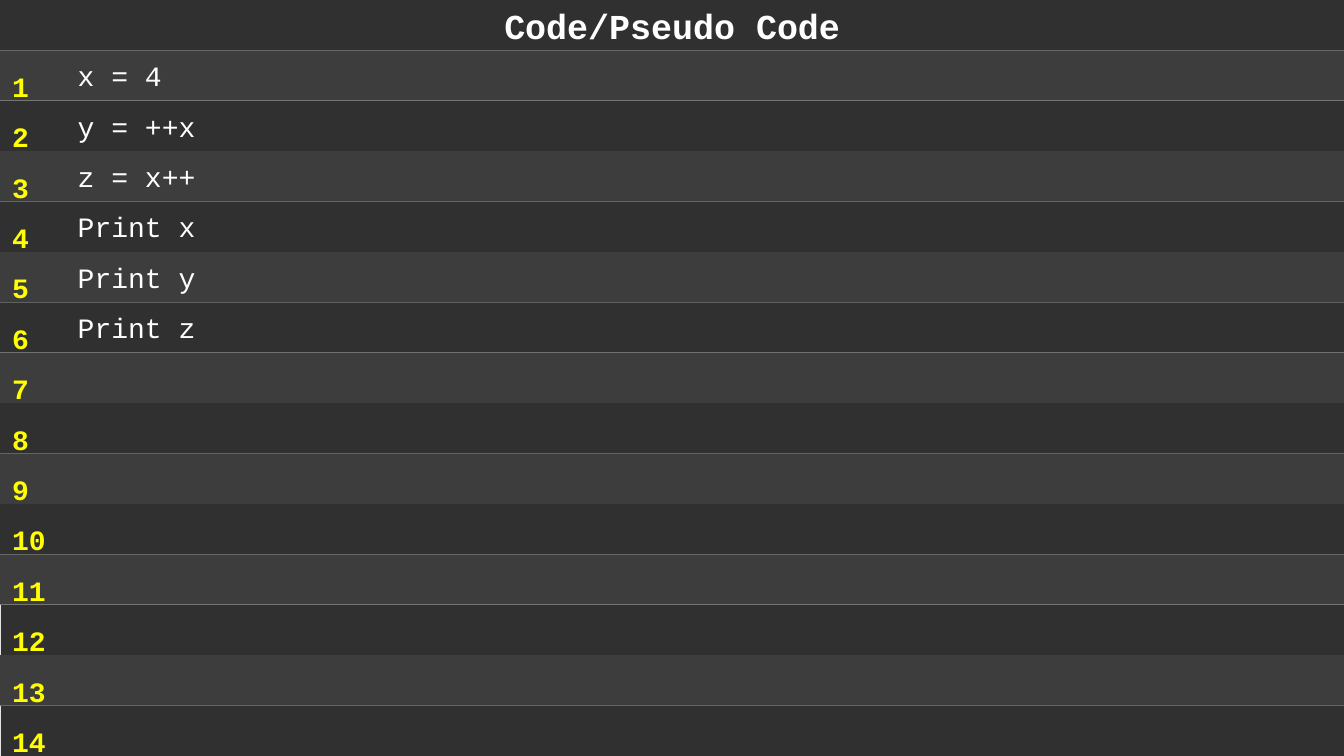
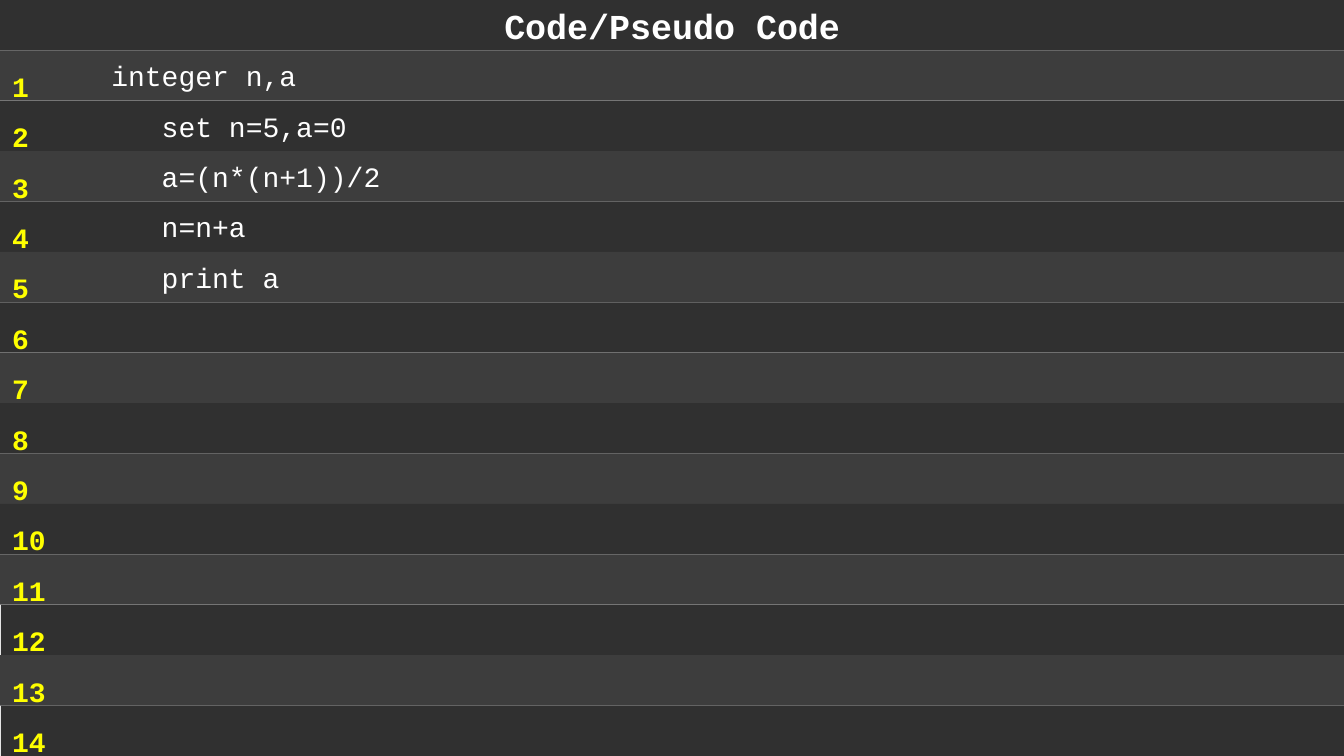
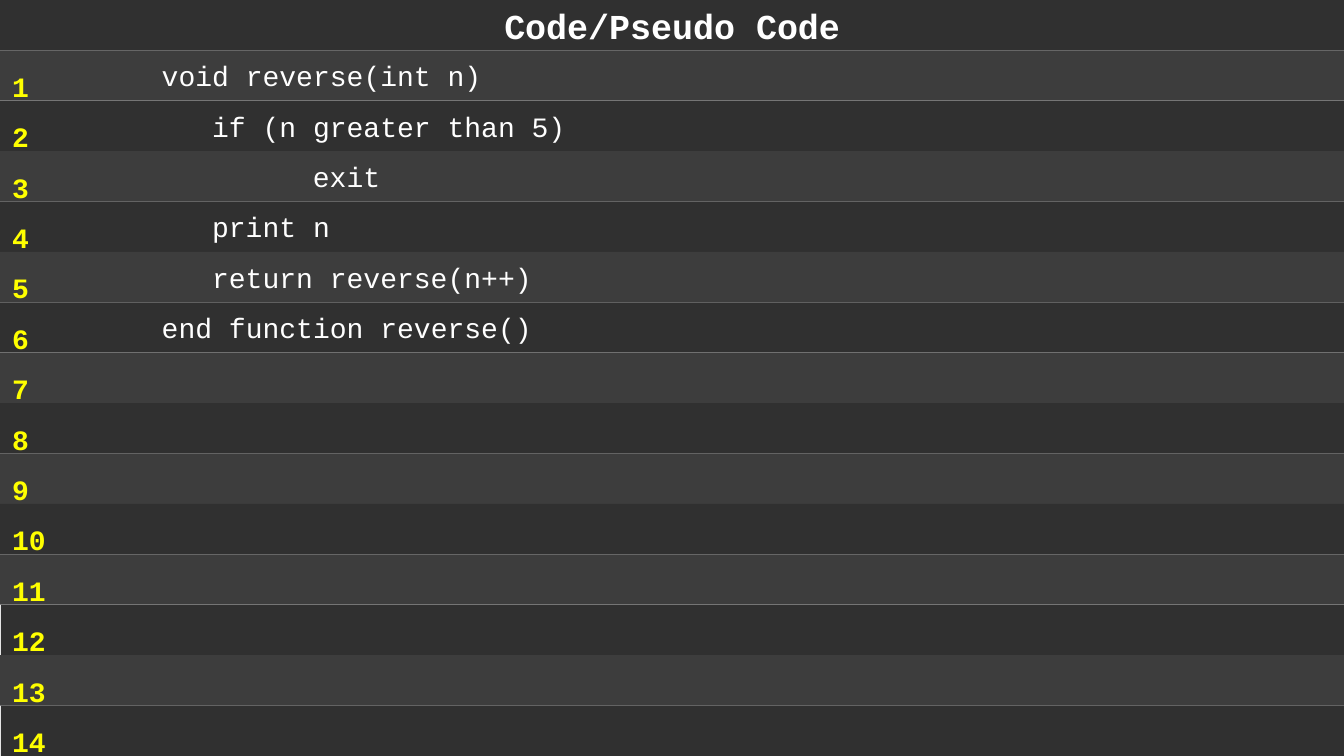
import pptx
import pptx.dml.color
import pptx.enum.shapes
import pptx.enum.text
import pptx.util

EMU_PER_PX = 9525
SLIDE_WIDTH, SLIDE_HEIGHT = 1280, 720
ROW_HEIGHT = 48
LINE_COUNT = 14
COLORS = {"dark": "303030", "light": "3D3D3D", "code": "FFFFFF", "number": "FFFF00"}
FONT = "Courier New"
ROW_LEFTS = {12: 1, 14: 1}
TITLE_FORMAT = {"size": pptx.util.Pt(25), "bold": True}
CODE_FORMAT = {"size": pptx.util.Pt(20), "bold": False}
NUMBER_FORMAT = {"size": pptx.util.Pt(20), "bold": True}

LISTINGS = [
    [
        (74, "x = 4"),
        (74, "y = ++x"),
        (74, "z = x++"),
        (74, "Print x"),
        (74, "Print y"),
        (74, "Print z"),
    ],
    [
        (106, "integer n,a"),
        (154, "set n=5,a=0"),
        (154, "a=(n*(n+1))/2"),
        (154, "n=n+a"),
        (154, "print a"),
    ],
    [
        (154, "void reverse(int n)"),
        (202, "if (n greater than 5)"),
        (298, "exit"),
        (202, "print n"),
        (202, "return reverse(n++)"),
        (154, "end function reverse()"),
    ],
]


def px(length):
    return pptx.util.Emu(length * EMU_PER_PX)


def color(name):
    return pptx.dml.color.RGBColor.from_string(COLORS[name])


class CodeDeck:
    def __init__(self):
        self.presentation = pptx.Presentation()
        self.presentation.slide_width = px(SLIDE_WIDTH)
        self.presentation.slide_height = px(SLIDE_HEIGHT)
        self.slide = None

    def add_slide(self):
        self.slide = self.presentation.slides.add_slide(self.presentation.slide_layouts[6])

    def add_text(self, paragraph, text, color_name, font_format):
        run = paragraph.add_run()
        run.text = text
        run.font.name = FONT
        run.font.color.rgb = color(color_name)
        for name, value in font_format.items():
            setattr(run.font, name, value)

    def band(self, row):
        left = ROW_LEFTS.get(row, 0)
        shape = self.slide.shapes.add_shape(
            pptx.enum.shapes.MSO_SHAPE.RECTANGLE,
            px(left), px(row * ROW_HEIGHT), px(SLIDE_WIDTH - left), px(ROW_HEIGHT),
        )
        shape.shadow.inherit = False
        shape.fill.solid()
        shape.fill.fore_color.rgb = color("light" if row % 2 else "dark")
        shape.line.fill.background()
        shape.text_frame.vertical_anchor = pptx.enum.text.MSO_ANCHOR.MIDDLE
        return shape.text_frame

    def title(self, text):
        paragraph = self.band(0).paragraphs[0]
        paragraph.alignment = pptx.enum.text.PP_ALIGN.CENTER
        self.add_text(paragraph, text, "code", TITLE_FORMAT)

    def code_line(self, row, indent, text):
        text_frame = self.band(row)
        text_frame.margin_left = px(indent)
        paragraph = text_frame.paragraphs[0]
        paragraph.alignment = pptx.enum.text.PP_ALIGN.LEFT
        self.add_text(paragraph, text, "code", CODE_FORMAT)

    def line_numbers(self):
        text_frame = self.slide.shapes.add_textbox(px(2), px(42), px(54), px(684)).text_frame
        text_frame.word_wrap = True
        text_frame.auto_size = pptx.enum.text.MSO_AUTO_SIZE.SHAPE_TO_FIT_TEXT
        text_frame.margin_top = px(8)
        for number in range(1, LINE_COUNT + 1):
            paragraph = text_frame.paragraphs[0] if number == 1 else text_frame.add_paragraph()
            paragraph.line_spacing = pptx.util.Pt(36)
            self.add_text(paragraph, str(number), "number", NUMBER_FORMAT)

    def code_slide(self, listing):
        self.add_slide()
        self.title("Code/Pseudo Code")
        for row, (indent, text) in enumerate(listing, start=1):
            self.code_line(row, indent, text)
        for row in range(len(listing) + 1, LINE_COUNT + 1):
            self.band(row)
        self.line_numbers()


def main():
    deck = CodeDeck()
    for listing in LISTINGS:
        deck.code_slide(listing)
    deck.presentation.save("out.pptx")


if __name__ == "__main__":
    main()
